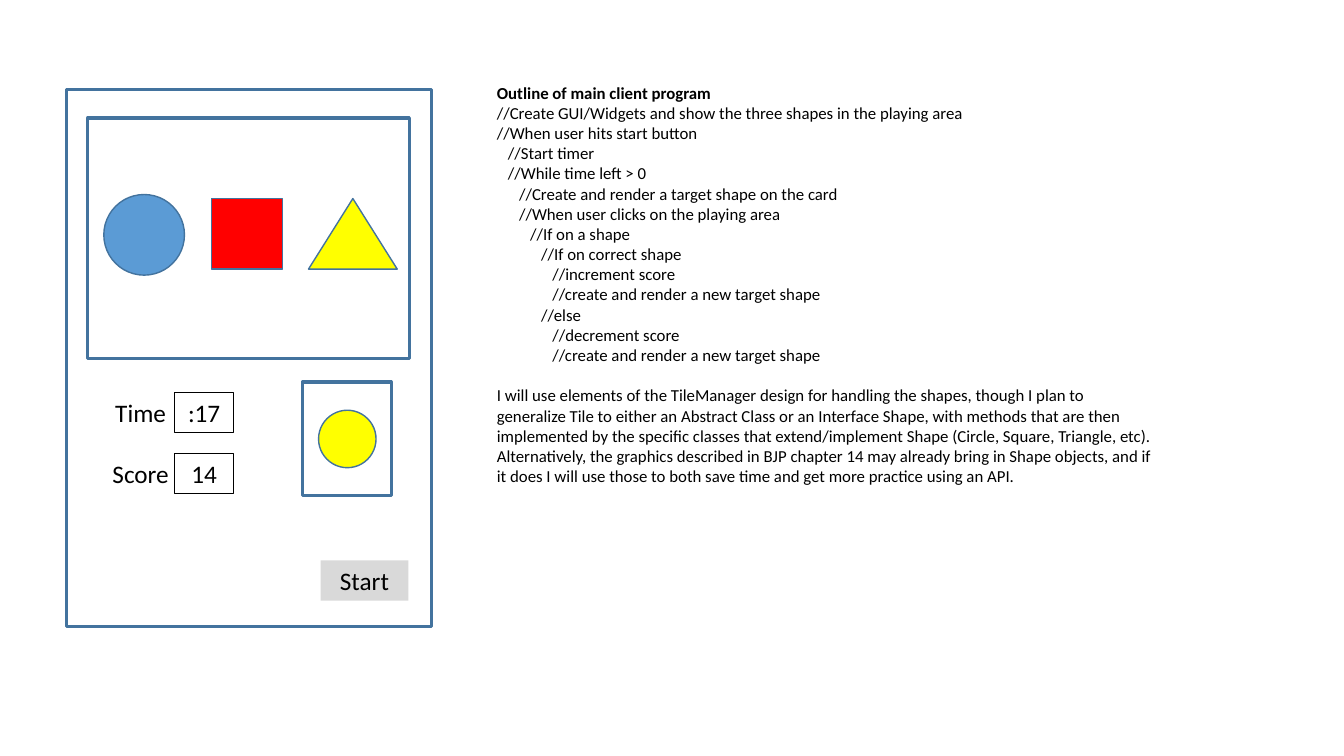
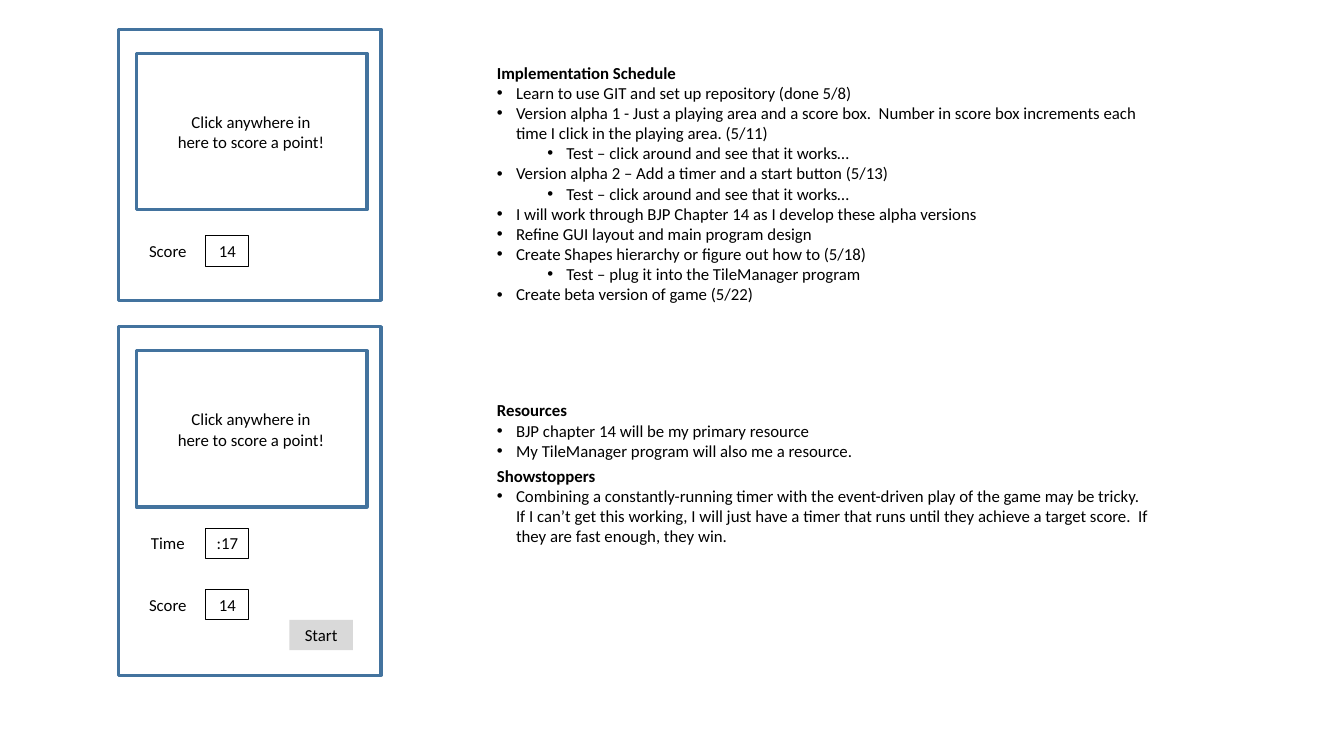
from lxml.etree import SubElement
from pptx import Presentation
from pptx.dml.color import RGBColor
from pptx.enum.shapes import MSO_SHAPE
from pptx.enum.text import MSO_ANCHOR, PP_ALIGN
from pptx.oxml.ns import qn
from pptx.util import Inches, Pt

FONT = "Calibri"
BLACK = RGBColor(0, 0, 0)
OUTLINE = RGBColor(0x43, 0x73, 0x9E)
BLUE = RGBColor(0x5B, 0x9B, 0xD5)
RED = RGBColor(0xFF, 0, 0)
YELLOW = RGBColor(0xFF, 0xFF, 0)
GREY = RGBColor(0xD9, 0xD9, 0xD9)

CODE_STEP = 0.11
BULLET_HANG = 0.19
BULLET_STEP = 0.5
NOTES_LEFT, NOTES_WIDTH = 4.83, 6.74

CLIENT_OUTLINE = [
    (0, "//Create GUI/Widgets and show the three shapes in the playing area"),
    (0, "//When user hits start button"),
    (1, "//Start timer"),
    (1, "//While time left > 0"),
    (2, "//Create and render a target shape on the card"),
    (2, "//When user clicks on the playing area"),
    (3, "//If on a shape"),
    (4, "//If on correct shape"),
    (5, "//increment score"),
    (5, "//create and render a new target shape"),
    (4, "//else"),
    (5, "//decrement score"),
    (5, "//create and render a new target shape"),
]
DESIGN_NOTE = (
    "I will use elements of the TileManager design for handling the shapes, though I plan to "
    "generalize Tile to either an Abstract Class or an Interface Shape, with methods that are "
    "then implemented by the specific classes that extend/implement Shape (Circle, Square, "
    "Triangle, etc).  Alternatively, the graphics described in BJP chapter 14 may already bring "
    "in Shape objects, and if it does I will use those to both save time and get more practice "
    "using an API."
)
CLICK_TEST = (1, "Test – click around and see that it works…")
SCHEDULE = [
    (0, "Learn to use GIT and set up repository (done 5/8)"),
    (0, "Version alpha 1 - Just a playing area and a score box.  Number in score box "
        "increments each time I click in the playing area. (5/11)"),
    CLICK_TEST,
    (0, "Version alpha 2 – Add a timer and a start button (5/13)"),
    CLICK_TEST,
    (0, "I will work through BJP Chapter 14 as I develop these alpha versions"),
    (0, "Refine GUI layout and main program design"),
    (0, "Create Shapes hierarchy or figure out how to (5/18)"),
    (1, "Test – plug it into the TileManager program"),
    (0, "Create beta version of game (5/22)"),
]
RESOURCES = [
    (0, "BJP chapter 14 will be my primary resource"),
    (0, "My TileManager program will also me a resource."),
]
SHOWSTOPPERS = [
    (0, "Combining a constantly-running timer with the event-driven play of the game may be "
        "tricky.  If I can’t get this working, I will just have a timer that runs until they "
        "achieve a target score.  If they are fast enough, they win."),
]


def style_runs(p, size, bold=False):
    """Apply the shared font to every run of a paragraph."""
    for r in p.runs:
        r.font.name, r.font.size, r.font.bold = FONT, Pt(size), bold
        r.font.color.rgb = BLACK


def add_figure(slide, kind, box, fill=None, line=OUTLINE, width=1):
    """Add a preset shape with an optional fill and outline."""
    sp = slide.shapes.add_shape(kind, *map(Inches, box))
    sp.shadow.inherit = False
    if fill is None:
        sp.fill.background()
    else:
        sp.fill.solid()
        sp.fill.fore_color.rgb = fill
    if line is None:
        sp.line.fill.background()
    else:
        sp.line.color.rgb = line
        sp.line.width = Pt(width)
    return sp


def add_frame(slide, box):
    """Add a heavy unfilled rectangle."""
    add_figure(slide, MSO_SHAPE.RECTANGLE, box, width=2.25)


def write_centred(sp, text, size):
    """Write one centred paragraph into a shape."""
    tf = sp.text_frame
    tf.word_wrap = True
    tf.vertical_anchor = MSO_ANCHOR.TOP
    tf.text = text
    p = tf.paragraphs[0]
    p.alignment = PP_ALIGN.CENTER
    style_runs(p, size)


def add_label(slide, box, text, size):
    """Add a centred text box."""
    write_centred(slide.shapes.add_textbox(*map(Inches, box)), text, size)


def add_start_button(slide, box, size):
    """Add the grey Start button."""
    sp = add_figure(slide, MSO_SHAPE.RECTANGLE, box, GREY, None)
    write_centred(sp, "Start", size)


def add_readout(slide, label_box, value_left, value_width, label, value, size):
    """Add a label with its boxed value on the same row."""
    top, height = label_box[1], label_box[3]
    add_label(slide, label_box, label, size)
    sp = add_figure(slide, MSO_SHAPE.RECTANGLE, (value_left, top, value_width, height),
                    line=BLACK, width=0.75)
    write_centred(sp, value, size)


def game_panel(slide, box):
    """Draw the finished game with shapes, target card, readouts and button."""
    x, y = box[:2]
    add_frame(slide, box)
    add_frame(slide, (x + 0.21, y + 0.28, 3.19, 2.39))
    add_figure(slide, MSO_SHAPE.OVAL, (x + 0.37, y + 1.04, 0.8, 0.8), BLUE)
    add_figure(slide, MSO_SHAPE.RECTANGLE, (x + 1.44, y + 1.08, 0.7, 0.7), RED)
    add_figure(slide, MSO_SHAPE.ISOSCELES_TRIANGLE, (x + 2.4, y + 1.08, 0.88, 0.7), YELLOW)
    add_frame(slide, (x + 2.34, y + 2.9, 0.88, 1.13))
    add_figure(slide, MSO_SHAPE.OVAL, (x + 2.5, y + 3.18, 0.57, 0.57), YELLOW)
    for row, (label, value) in enumerate([("Time", ":17"), ("Score", "14")]):
        add_readout(slide, (x + 0.3, y + 3 + 0.61 * row, 0.87, 0.4), x + 1.07, 0.59,
                    label, value, 18)
    add_start_button(slide, (x + 2.52, y + 4.67, 0.87, 0.4), 18)


def alpha_panel(slide, box, first_row, readouts, has_start=False):
    """Draw an alpha version with a playing area and rows of readouts."""
    x, y = box[:2]
    add_frame(slide, box)
    add_frame(slide, (x + 0.17, y + 0.24, 2.29, 1.55))
    add_label(slide, (x + 0.45, y + 0.77, 1.72, 0.5),
              "Click anywhere in here to score a point!", 12)
    for row, (label, value) in enumerate(readouts):
        add_readout(slide, (x + 0.17, y + first_row + 0.61 * row, 0.63, 0.3), x + 0.86, 0.43,
                    label, value, 12)
    if has_start:
        add_start_button(slide, (x + 1.69, y + 2.91, 0.63, 0.3), 12)


def notes_box(slide, top, height, heading, items, bulleted=True, closing=None):
    """Write a bold heading over bullets or indented lines, with an optional closing note."""
    box = (NOTES_LEFT, top, NOTES_WIDTH, height)
    tf = slide.shapes.add_textbox(*map(Inches, box)).text_frame
    tf.word_wrap = True
    tf.text = heading
    style_runs(tf.paragraphs[0], 12, True)
    for level, text in items:
        p = tf.add_paragraph()
        p.text = text
        style_runs(p, 12)
        pPr = p._p.get_or_add_pPr()
        if bulleted:
            p.level = level
            pPr.set("marL", str(Inches(BULLET_HANG + BULLET_STEP * level)))
            pPr.set("indent", str(Inches(-BULLET_HANG)))
            SubElement(pPr, qn("a:buFont")).set("typeface", "Arial")
            SubElement(pPr, qn("a:buChar")).set("char", "•")
        else:
            pPr.set("marL", str(Inches(CODE_STEP * level)))
    if closing:
        p = tf.add_paragraph()
        p.text = closing
        p.space_before = Pt(14.5)
        style_runs(p, 12)


def design_slide(prs):
    """Build the slide with the game layout and program outline."""
    slide = prs.slides.add_slide(prs.slide_layouts[6])
    game_panel(slide, (0.66, 0.89, 3.62, 5.33))
    notes_box(slide, 0.77, 4.34, "Outline of main client program", CLIENT_OUTLINE,
              bulleted=False, closing=DESIGN_NOTE)


def schedule_slide(prs):
    """Build the slide with the alpha versions and the plan."""
    slide = prs.slides.add_slide(prs.slide_layouts[6])
    score = ("Score", "14")
    alpha_panel(slide, (1.18, 0.29, 2.6, 2.69), 2.05, [score])
    alpha_panel(slide, (1.18, 3.24, 2.6, 3.46), 2, [("Time", ":17"), score], has_start=True)
    notes_box(slide, 0.57, 2.73, "Implementation Schedule", SCHEDULE)
    notes_box(slide, 3.92, 0.91, "Resources", RESOURCES)
    notes_box(slide, 4.57, 0.91, "Showstoppers", SHOWSTOPPERS)


prs = Presentation()
prs.slide_width, prs.slide_height = Inches(13.33), Inches(7.5)
design_slide(prs)
schedule_slide(prs)
prs.save("out.pptx")
